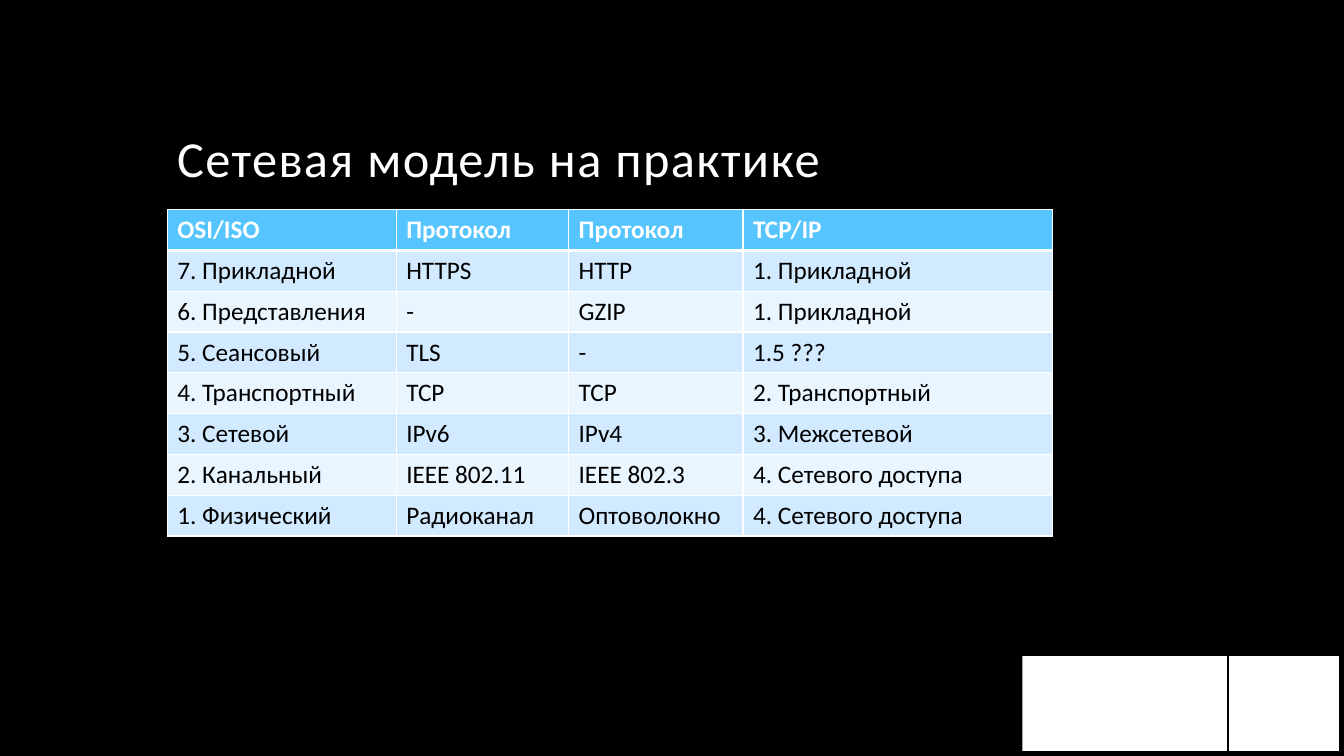
"""Build the slide that compares the OSI/ISO and TCP/IP layers in practice."""
from dataclasses import dataclass

import pptx
import pptx.dml.color
import pptx.enum.shapes
import pptx.enum.text
import pptx.oxml
import pptx.oxml.ns
import pptx.util

EMU_PER_PX = 9144


@dataclass(frozen=True)
class Theme:
    font: str = "Calibri"
    background: str = "000000"
    light: str = "FFFFFF"
    dark: str = "000000"
    header: str = "56C5FF"
    bands: tuple[str, str] = ("D1EAFF", "E9F5FF")
    title_size: int = 36
    table_size: int = 18


@dataclass(frozen=True)
class Box:
    left: int
    top: int
    width: int
    height: int

    def emu(self) -> list[pptx.util.Emu]:
        return [px(n) for n in (self.left, self.top, self.width, self.height)]


THEME = Theme()
TITLE = Box(166, 42, 1000, 150)
TABLE = Box(166, 208, 878, 324)
CORNER_BLOCKS = (Box(1219, 651, 109, 94), Box(1014, 651, 203, 94))
COLUMN_WIDTHS = (227, 171, 173, 307)
LAYERS = (
    ("OSI/ISO", "Протокол", "Протокол", "TCP/IP"),
    ("7. Прикладной", "HTTPS", "HTTP", "1. Прикладной"),
    ("6. Представления", "-", "GZIP", "1. Прикладной"),
    ("5. Сеансовый", "TLS", "-", "1.5 ???"),
    ("4. Транспортный", "TCP", "TCP", "2. Транспортный"),
    ("3. Сетевой", "IPv6", "IPv4", "3. Межсетевой"),
    ("2. Канальный", "IEEE 802.11", "IEEE 802.3", "4. Сетевого доступа"),
    ("1. Физический", "Радиоканал", "Оптоволокно", "4. Сетевого доступа"),
)


def px(length: int) -> pptx.util.Emu:
    return pptx.util.Emu(length * EMU_PER_PX)


def rgb(color: str) -> pptx.dml.color.RGBColor:
    return pptx.dml.color.RGBColor.from_string(color)


def write_text(frame, text: str, *, size: int, color: str, bold: bool = False,
               tracking: int = 0, line_spacing: float = 1.0) -> None:
    paragraph = frame.paragraphs[0]
    paragraph.line_spacing = line_spacing
    run = paragraph.add_run()
    run.text = text
    run.font.name = THEME.font
    run.font.size = pptx.util.Pt(size)
    run.font.bold = bold
    run.font.color.rgb = rgb(color)
    if tracking:
        run.font._element.set("spc", str(tracking * 100))


def draw_block(slide, box: Box) -> None:
    block = slide.shapes.add_shape(pptx.enum.shapes.MSO_SHAPE.RECTANGLE, *box.emu())
    block.shadow.inherit = False
    block.fill.solid()
    block.fill.fore_color.rgb = rgb(THEME.light)
    block.line.fill.background()


def draw_title(slide, text: str) -> None:
    frame = slide.shapes.add_textbox(*TITLE.emu()).text_frame
    frame.word_wrap = True
    frame.vertical_anchor = pptx.enum.text.MSO_ANCHOR.BOTTOM
    write_text(frame, text, size=THEME.title_size, color=THEME.light,
               tracking=1, line_spacing=0.9)


def set_borders(cell, **widths: int) -> None:
    properties = cell._tc.get_or_add_tcPr()
    for side, width in widths.items():
        properties.append(pptx.oxml.parse_xml(
            f'<a:ln{side} {pptx.oxml.ns.nsdecls("a")} w="{pptx.util.Pt(width)}">'
            f'<a:solidFill><a:srgbClr val="{THEME.light}"/></a:solidFill></a:ln{side}>'))


def draw_layers(slide) -> None:
    table = slide.shapes.add_table(len(LAYERS), len(COLUMN_WIDTHS), *TABLE.emu()).table
    for column, width in zip(table.columns, COLUMN_WIDTHS):
        column.width = px(width)
    for index, (row, texts) in enumerate(zip(table.rows, LAYERS)):
        header = index == 0
        row.height = pptx.util.Emu(px(TABLE.height) // len(LAYERS))
        for cell, text in zip(row.cells, texts):
            set_borders(cell, L=1, R=1, T=3 if index == 1 else 1, B=3 if header else 1)
            cell.fill.solid()
            cell.fill.fore_color.rgb = rgb(
                THEME.header if header else THEME.bands[(index - 1) % 2])
            write_text(cell.text_frame, text, size=THEME.table_size, bold=header,
                       color=THEME.light if header else THEME.dark)


def main() -> None:
    deck = pptx.Presentation()
    deck.slide_width, deck.slide_height = px(1333), px(750)
    slide = deck.slides.add_slide(deck.slide_layouts[6])
    slide.background.fill.solid()
    slide.background.fill.fore_color.rgb = rgb(THEME.background)
    for box in CORNER_BLOCKS:
        draw_block(slide, box)
    draw_title(slide, "Сетевая модель на практике")
    draw_layers(slide)
    deck.save("out.pptx")


if __name__ == "__main__":
    main()
